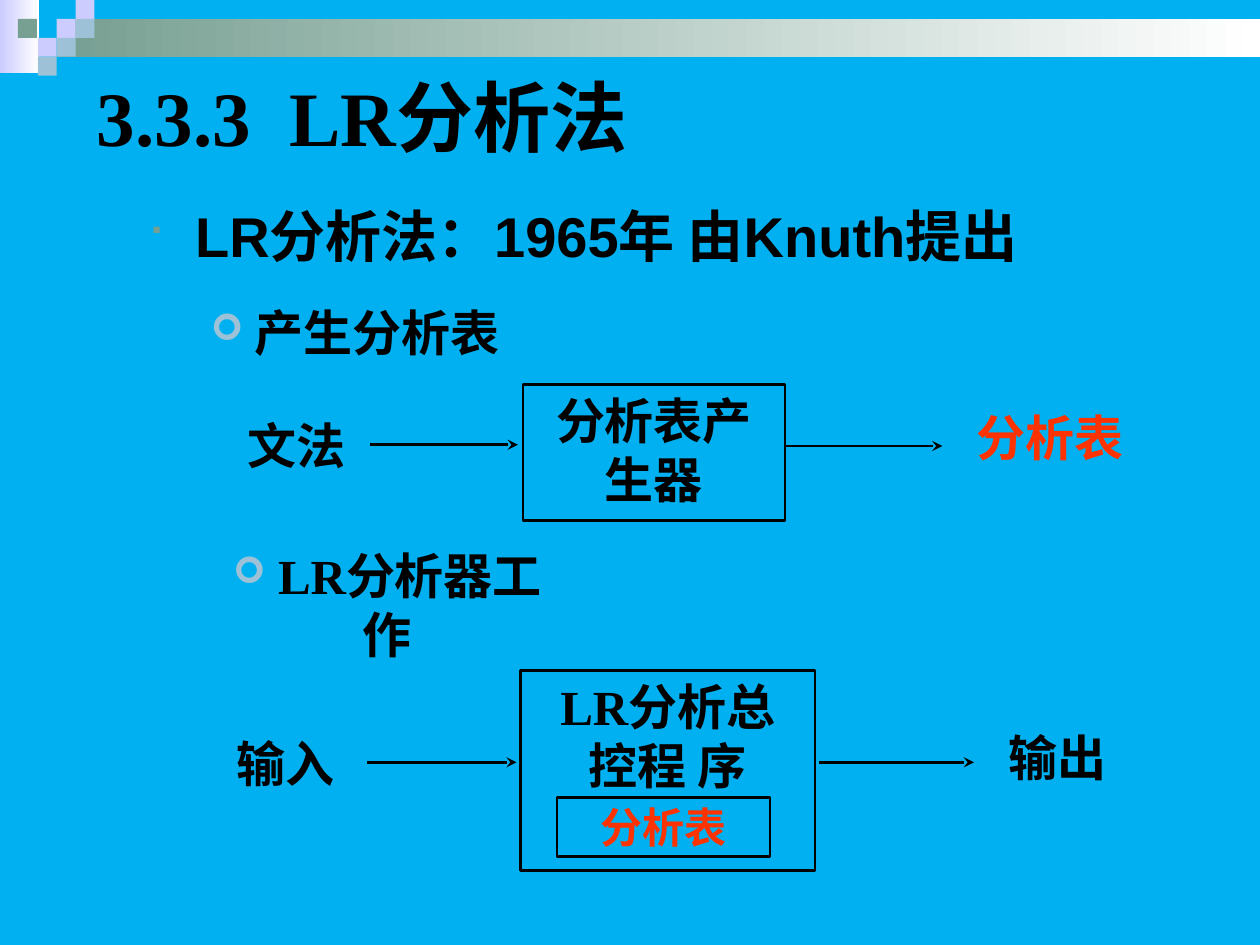
from dataclasses import dataclass

from lxml.etree import SubElement
from pptx import Presentation
from pptx.dml.color import RGBColor
from pptx.enum.shapes import MSO_CONNECTOR, MSO_SHAPE
from pptx.enum.text import MSO_ANCHOR, PP_ALIGN
from pptx.oxml.ns import qn
from pptx.util import Inches, Pt


@dataclass(frozen=True)
class Theme:
    back: str = "00B0F0"
    ink: str = "000000"
    red: str = "FF3300"
    sage: str = "779F92"
    lilac: str = "CCCCFF"
    mist: str = "9DC2D7"
    white: str = "FFFFFF"
    serif: str = "Times New Roman"
    sans: str = "Arial"
    title: int = 44
    lead: int = 32
    text: int = 28
    small: int = 24
    line: float = 1.5


def color(code):
    return RGBColor.from_string(code)


class Board:
    """Places elements on a grid of 100 columns and 75 rows."""

    def __init__(self, deck, theme):
        self.theme = theme
        self.cell = deck.slide_width / 100
        self.slide = deck.slides.add_slide(deck.slide_layouts[6])
        fill = self.slide.background.fill
        fill.solid()
        fill.fore_color.rgb = color(theme.back)

    def grid(self, *cells):
        return [round(cell * self.cell) for cell in cells]

    def block(self, at, fill=None, fade=None):
        """Filled or fading block; without a fill, an outlined box."""
        shape = self.slide.shapes.add_shape(MSO_SHAPE.RECTANGLE, *self.grid(*at))
        shape.shadow.inherit = False
        if fade:
            shape.fill.gradient()
            shape.fill.gradient_angle = 0
            for stop, code in zip(shape.fill.gradient_stops, (fill, fade)):
                stop.color.rgb = color(code)
        elif fill:
            shape.fill.solid()
            shape.fill.fore_color.rgb = color(fill)
        else:
            shape.fill.background()
        if fill:
            shape.line.fill.background()
        else:
            shape.line.color.rgb = color(self.theme.ink)
            shape.line.width = Pt(self.theme.line)
        return shape

    def letter(self, shape, text, size=None, ink=None, font=None, wrap=False,
               anchor=MSO_ANCHOR.MIDDLE, align=PP_ALIGN.CENTER):
        frame = shape.text_frame
        frame.word_wrap = wrap
        frame.vertical_anchor = anchor
        frame.text = text
        para = frame.paragraphs[0]
        para.alignment = align
        for run in para.runs:
            run.font.size = Pt(size or self.theme.text)
            run.font.name = font or self.theme.serif
            run.font.bold = True
            run.font.color.rgb = color(ink or self.theme.ink)
        return para

    def label(self, at, text, **style):
        return self.letter(self.slide.shapes.add_textbox(*self.grid(*at)), text, **style)

    def box(self, at, text, **style):
        return self.letter(self.block(at), text, **style)

    def bullet(self, para, mark, tint, indent=0):
        props = para._p.get_or_add_pPr()
        hang = self.grid(indent)[0]
        props.set("marL", str(hang))
        props.set("indent", str(-hang))
        SubElement(SubElement(props, qn("a:buClr")), qn("a:srgbClr"), val=tint)
        SubElement(props, qn("a:buSzPct"), val="75000")
        SubElement(props, qn("a:buFont"), typeface="Wingdings")
        SubElement(props, qn("a:buChar"), char=mark)

    def tab(self, para, stop):
        tabs = SubElement(para._p.get_or_add_pPr(), qn("a:tabLst"))
        SubElement(tabs, qn("a:tab"), pos=str(self.grid(stop)[0]), algn="l")

    def arrow(self, left, right, row):
        line = self.slide.shapes.add_connector(
            MSO_CONNECTOR.STRAIGHT, *self.grid(left, row, right, row))
        line.line.color.rgb = color(self.theme.ink)
        line.line.width = Pt(self.theme.line)
        SubElement(line.line._get_or_add_ln(), qn("a:tailEnd"), type="stealth")
        SubElement(line._element.spPr, qn("a:effectLst"))


def main():
    deck = Presentation()
    deck.slide_width, deck.slide_height = Inches(10), Inches(7.5)
    theme = Theme()
    board = Board(deck, theme)

    # Corner pattern: fading bars, then small tiles
    board.block((0, 0, 3.1, 5.8), theme.lilac, theme.white)
    board.block((4.5, 1.5, 95.5, 3), theme.sage, theme.white)
    tile = 1.5
    for col, row, tint in (
        (3, 1, theme.lilac), (4, 0, theme.lilac), (4, 1, theme.mist),
        (2, 2, theme.lilac), (0.95, 1, theme.sage),
        (3, 2, theme.mist), (2, 3, theme.mist),
    ):
        board.block((col * tile, row * tile, tile, tile), tint)

    # Heading and lead line
    head = board.label((6.7, 5, 91.7, 8.3), "3.3.3\tLR分析法",
                       size=theme.title, wrap=True, align=PP_ALIGN.LEFT)
    board.tab(head, 15.3)
    lead = board.label((10.7, 15.5, 84.2, 10), "LR分析法：1965年 由Knuth提出",
                       size=theme.lead, font=theme.sans, wrap=True,
                       anchor=MSO_ANCHOR.TOP, align=PP_ALIGN.LEFT)
    board.bullet(lead, "■", theme.sage, 3.8)

    # Step titles
    for at, text in (
        ((15.7, 23, 25, 6.7), " 产生分析表"),
        ((17.4, 44.6, 26.7, 6.7), " LR分析器工作"),
    ):
        board.bullet(board.label(at, text), "➢", theme.mist)

    # Boxes of the two flows
    for at, text in (
        ((41.5, 30.5, 20.8, 10.8), "分析表产生器"),
        ((41.3, 53.2, 23.4, 15.9), "LR分析总 控程 序"),
    ):
        board.box(at, text, wrap=True, anchor=MSO_ANCHOR.TOP)
    board.box((44.2, 63.3, 16.9, 4.7), "分析表", size=theme.small, ink=theme.red)

    # What goes in and what comes out
    for at, text, ink in (
        ((16.9, 32, 13.3, 6.7), "文法", theme.ink),
        ((75.7, 31.3, 15.2, 6.7), "分析表", theme.red),
        ((15.3, 57.2, 14.7, 6.7), "输入", theme.ink),
        ((77.3, 57.2, 13.3, 5.8), "输出", theme.ink),
    ):
        board.label(at, text, ink=ink)

    for left, right, row in (
        (29.4, 41.1, 35.3), (62.4, 74.8, 35.4),
        (29.1, 41, 60.5), (65, 77.3, 60.5),
    ):
        board.arrow(left, right, row)

    deck.save("out.pptx")


if __name__ == "__main__":
    main()
